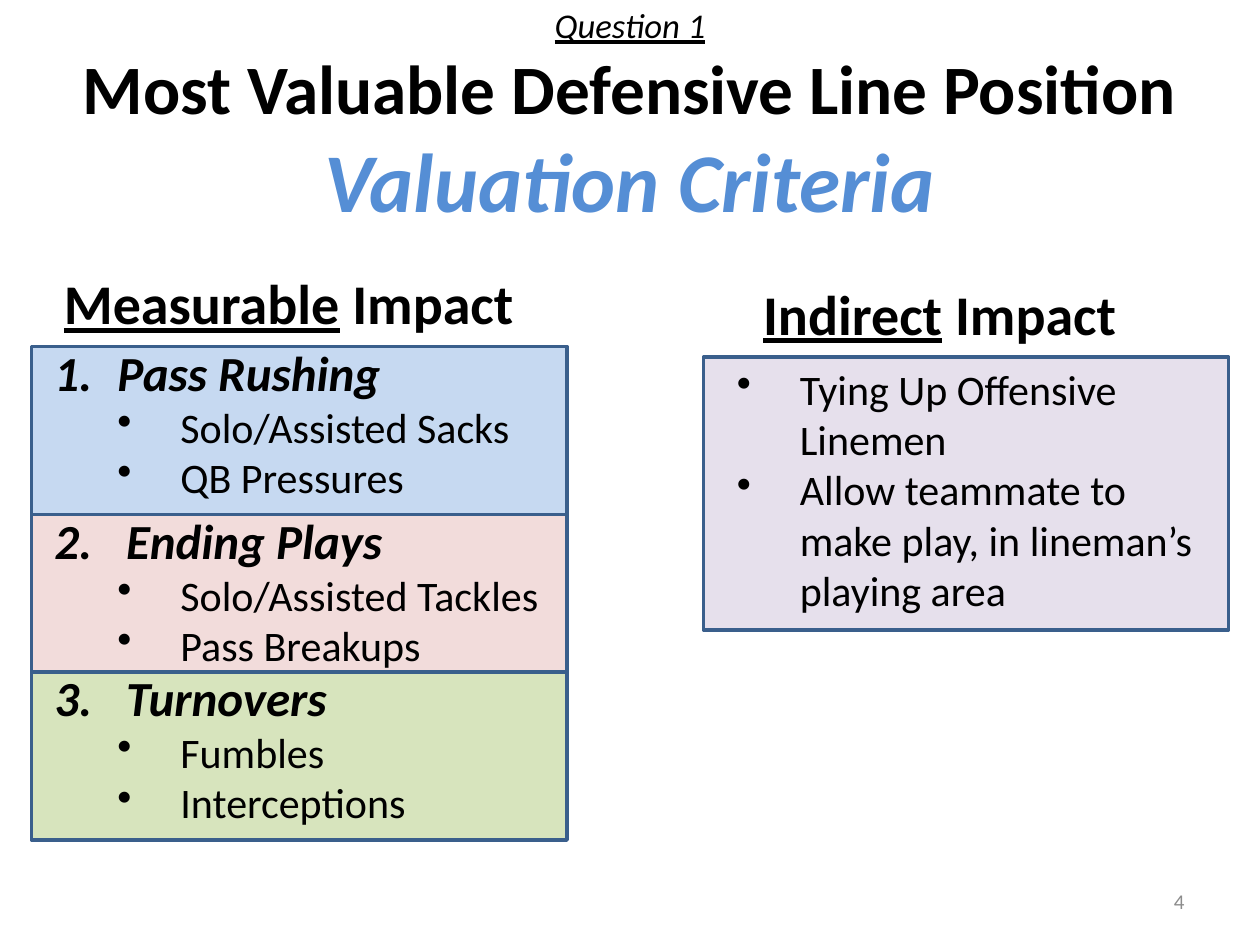
from dataclasses import dataclass
from typing import Optional

from lxml.etree import SubElement
from pptx import Presentation
from pptx.dml.color import RGBColor
from pptx.enum.shapes import MSO_SHAPE as Shape
from pptx.enum.text import MSO_ANCHOR as Anchor, PP_ALIGN as Align
from pptx.oxml.ns import qn
from pptx.util import Pt

FONT = "Calibri"
BLACK = RGBColor(0x00, 0x00, 0x00)
GRAY = RGBColor(0x8C, 0x8C, 0x8C)
TITLE_BLUE = RGBColor(0x55, 0x8E, 0xD5)
BORDER = RGBColor(0x3A, 0x5F, 0x8C)
PALE_BLUE = RGBColor(0xC6, 0xD9, 0xF1)
PALE_RED = RGBColor(0xF2, 0xDC, 0xDB)
PALE_GREEN = RGBColor(0xD7, 0xE4, 0xBD)
PALE_PURPLE = RGBColor(0xE6, 0xE0, 0xEC)
INDENT = 36


@dataclass
class Area:
    left: float
    top: float
    width: float
    height: float

    def lengths(self):
        return [Pt(value) for value in (self.left, self.top, self.width, self.height)]


@dataclass
class Criterion:
    number: int
    name: str
    items: list[str]
    fill: RGBColor
    panel: Area
    text_top: float
    name_indent: float


@dataclass
class Heading:
    marked: str
    area: Area


CRITERIA = [
    Criterion(1, "Pass Rushing", ["Solo/Assisted Sacks", "QB Pressures"],
              PALE_BLUE, Area(18, 198, 306, 96), 192, INDENT),
    Criterion(2, "Ending Plays", ["Solo/Assisted Tackles", "Pass Breakups"],
              PALE_RED, Area(18, 294, 306, 90), 288, 41),
    Criterion(3, "Turnovers", ["Fumbles", "Interceptions"],
              PALE_GREEN, Area(18, 384, 306, 96), 378, 41),
]
HEADINGS = [
    Heading("Measurable", Area(18, 150, 294, 46)),
    Heading("Indirect", Area(390, 156, 294, 46)),
]
INDIRECT_ITEMS = [
    "Tying Up Offensive Linemen",
    "Allow teammate to make play, in lineman’s playing area",
]


def add_panel(page, area: Area, fill: RGBColor) -> None:
    panel = page.shapes.add_shape(Shape.RECTANGLE, *area.lengths())
    panel.shadow.inherit = False
    panel.fill.solid()
    panel.fill.fore_color.rgb = fill
    panel.line.color.rgb = BORDER
    panel.line.width = Pt(2)


def add_box(page, area: Area, anchor=Anchor.TOP):
    frame = page.shapes.add_textbox(*area.lengths()).text_frame
    frame.word_wrap = True
    frame.vertical_anchor = anchor
    return frame


def write(para, text: str, *, size: float, color: RGBColor = BLACK, bold: bool = False,
          italic: bool = False, underline: bool = False) -> None:
    span = para.add_run()
    span.text = text
    font = span.font
    font.name, font.size, font.color.rgb = FONT, Pt(size), color
    font.bold, font.italic, font.underline = bold, italic, underline


def mark(para, *, margin: float, hang: float, number: Optional[int] = None) -> None:
    props = para._p.get_or_add_pPr()
    props.set("marL", str(Pt(margin)))
    props.set("indent", str(-Pt(hang)))
    if number is None:
        SubElement(props, qn("a:buChar"), char="•")
    else:
        SubElement(props, qn("a:buAutoNum"), type="arabicPeriod", startAt=str(number))


def add_criterion(page, criterion: Criterion) -> None:
    frame = add_box(page, Area(24, criterion.text_top, 312, 99.4))
    para = frame.paragraphs[0]
    mark(para, margin=criterion.name_indent, hang=criterion.name_indent,
         number=criterion.number)
    write(para, criterion.name, size=28, bold=True, italic=True)
    for item in criterion.items:
        para = frame.add_paragraph()
        para.level = 1
        mark(para, margin=2 * INDENT, hang=INDENT)
        write(para, item, size=24)


def add_title(page) -> None:
    para = add_box(page, Area(36, 21.6, 648, 90), Anchor.MIDDLE).paragraphs[0]
    para.alignment = Align.CENTER
    write(para, "Question 1", size=19.8, italic=True, underline=True)
    para.add_line_break()
    write(para, "Most Valuable Defensive Line Position", size=39.6, bold=True)
    para.add_line_break()
    write(para, "Valuation Criteria", size=47.7, color=TITLE_BLUE, bold=True, italic=True)


def add_heading(page, heading: Heading) -> None:
    para = add_box(page, heading.area).paragraphs[0]
    para.alignment = Align.CENTER
    write(para, heading.marked, size=32, bold=True, underline=True)
    write(para, " Impact", size=32, bold=True)


def add_indirect_list(page) -> None:
    frame = add_box(page, Area(414, 204, 288, 152.4))
    for index, item in enumerate(INDIRECT_ITEMS):
        para = frame.add_paragraph() if index else frame.paragraphs[0]
        mark(para, margin=INDENT, hang=INDENT)
        write(para, item, size=24)


def add_page_number(page) -> None:
    para = add_box(page, Area(516, 500.5, 168, 28.75), Anchor.MIDDLE).paragraphs[0]
    para.alignment = Align.RIGHT
    write(para, "4", size=12, color=GRAY)


def main() -> None:
    deck = Presentation()
    deck.slide_width, deck.slide_height = Pt(720), Pt(540)
    page = deck.slides.add_slide(deck.slide_layouts[6])
    for criterion in CRITERIA:
        add_panel(page, criterion.panel, criterion.fill)
    add_panel(page, Area(402, 204, 300, 156), PALE_PURPLE)
    add_page_number(page)
    add_title(page)
    for heading in HEADINGS:
        add_heading(page, heading)
    for criterion in CRITERIA:
        add_criterion(page, criterion)
    add_indirect_list(page)
    deck.save("out.pptx")


if __name__ == "__main__":
    main()
